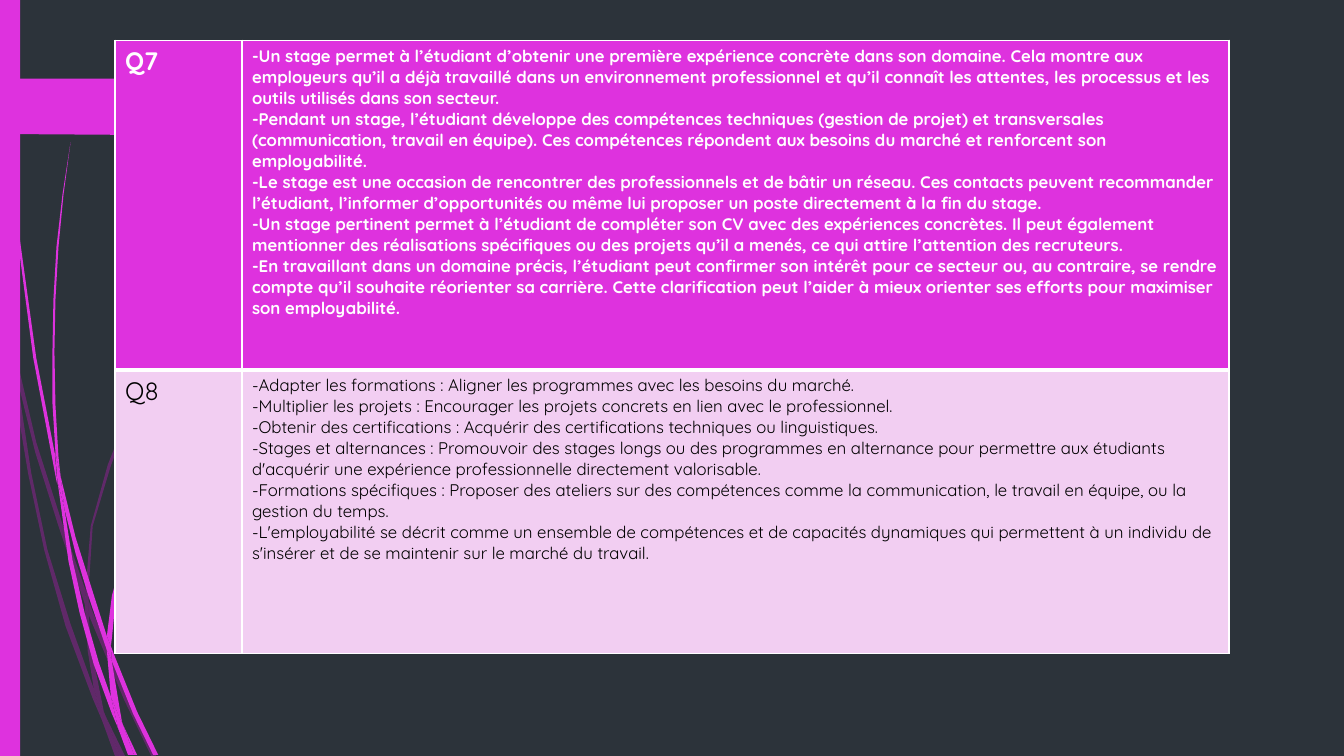
import pptx
import pptx.util
import pptx.dml.color
import pptx.enum.shapes
import pptx.oxml.ns
import lxml.etree

theme = {
    "back": "2C333A", "pink": "DE32DE", "plum": "B01CB0", "pale": "F2CEF2",
    "white": "FFFFFF", "black": "000000", "font": "Quicksand",
    "label": 18, "body": 12, "thin": 1, "thick": 3, "faint": 40, "full": 100,
}
cols, rows = 1333, 750
cell_size = pptx.util.Inches(0.01)


def write(cell, lines, size, color, bold):
    for at, line in enumerate(lines):
        para = cell.text_frame.paragraphs[0] if at == 0 else cell.text_frame.add_paragraph()
        run = para.add_run()
        run.text = line
        run.font.name = theme["font"]
        run.font.size = pptx.util.Pt(theme[size])
        run.font.bold = bold
        run.font.color.rgb = pptx.dml.color.RGBColor.from_string(theme[color])


def trace(shapes, flat, color, alpha):
    points = list(zip(flat[::2], flat[1::2]))
    maker = shapes.build_freeform(*points[0], scale=float(cell_size))
    maker.add_line_segments(points[1:], close=True)
    shape = maker.convert_to_shape()
    shape.shadow.inherit = False
    shape.line.fill.background()
    shape.fill.solid()
    shape.fill.fore_color.rgb = pptx.dml.color.RGBColor.from_string(theme[color])
    if alpha < 100:
        tone = shape.element.xpath("./p:spPr/a:solidFill/a:srgbClr")[0]
        lxml.etree.SubElement(tone, pptx.oxml.ns.qn("a:alpha"), val=str(alpha * 1000))


deck = pptx.Presentation()
deck.slide_width = cols * cell_size
deck.slide_height = rows * cell_size
slide = deck.slides.add_slide(deck.slide_layouts[6])
slide.background.fill.solid()
slide.background.fill.fore_color.rgb = pptx.dml.color.RGBColor.from_string(theme["back"])

dim = [
    [11, 350, 9, 322, 0, 282, 0, 299, 10, 344],
    [58, 522, 84, 599, 85, 586, 62, 520, 36, 439, 14, 345, 17, 376, 35, 449],
    [92, 607, 88, 596, 88, 610, 123, 694, 150, 750, 155, 750, 127, 692],
    [119, 750, 124, 750, 105, 711],
    [93, 683, 70, 619, 47, 545, 31, 469, 17, 376, 11, 350, 18, 410, 28, 470,
     44, 546, 65, 621, 92, 693, 101, 714, 99, 707],
    [84, 599, 87, 646, 93, 683, 96, 692, 105, 711, 103, 706, 91, 646, 88, 610, 88, 608],
    [88, 584, 92, 522, 110, 462, 132, 404, 160, 349, 193, 296, 229, 245, 268, 198,
     290, 175, 312, 154, 312, 153, 289, 175, 268, 197, 228, 244, 191, 294, 158, 348,
     130, 403, 107, 461, 90, 522, 85, 584, 85, 586, 88, 596],
    [101, 714, 114, 750, 119, 750],
    [88, 608, 88, 596, 85, 586, 84, 599],
    [96, 692, 93, 683, 99, 707, 101, 714, 119, 750, 105, 711],
]
bright = [
    [7, 110, 17, 233, 33, 355, 56, 477, 57, 481, 55, 457, 55, 453, 36, 355, 19, 232,
     8, 109, 5, 48, 4, 0, 3, 0, 4, 48],
    [88, 592, 106, 645, 106, 631, 93, 590, 75, 533, 60, 472, 64, 505, 75, 549],
    [113, 649, 110, 641, 111, 656, 132, 708, 152, 749, 157, 749, 136, 706],
    [110, 691, 98, 657, 84, 608, 72, 556, 64, 505, 57, 477, 68, 557, 79, 608,
     93, 659, 111, 708, 117, 722, 116, 717],
    [60, 472, 58, 453, 55, 402, 54, 349, 55, 297, 58, 245, 63, 193, 70, 141,
     62, 193, 56, 245, 53, 297, 52, 349, 52, 400, 55, 449],
    [133, 749, 136, 749, 122, 719],
    [57, 477, 64, 505, 60, 472, 55, 449, 55, 453],
    [111, 633, 115, 592, 125, 552, 140, 513, 158, 476, 180, 440, 205, 406, 231, 374,
     245, 359, 261, 344, 260, 344, 245, 358, 231, 373, 204, 405, 179, 438, 156, 474,
     137, 512, 122, 551, 111, 591, 106, 631, 110, 641],
    [117, 722, 127, 749, 131, 749],
    [106, 645, 110, 691, 116, 706, 122, 719, 121, 716, 111, 656, 109, 651],
    [106, 645, 109, 651, 111, 656, 110, 641, 106, 631],
    [116, 706, 110, 691, 116, 717, 117, 722, 130, 749, 133, 749, 122, 719],
]
for wisps, color, alpha in ((dim, "plum", theme["faint"]), (bright, "pink", theme["full"])):
    group = slide.shapes.add_group_shape()
    for wisp in wisps:
        trace(group.shapes, wisp, color, alpha)

bar = slide.shapes.add_shape(
    pptx.enum.shapes.MSO_SHAPE.RECTANGLE, 0, 0, 20 * cell_size, rows * cell_size)
bar.shadow.inherit = False
bar.line.fill.background()
bar.fill.solid()
bar.fill.fore_color.rgb = pptx.dml.color.RGBColor.from_string(theme["pink"])
tag = [0, 78, 146, 78, 148, 79, 173, 104, 174, 106, 173, 108, 148, 133, 146, 134, 0, 133]
trace(slide.shapes, tag, "pink", theme["full"])

answers = [
    ("Q7", [
        "-Un stage permet à l’étudiant d’obtenir une première expérience concrète dans son domaine. Cela montre aux employeurs qu’il a déjà travaillé dans un environnement professionnel et qu’il connaît les attentes, les processus et les outils utilisés dans son secteur.",
        "-Pendant un stage, l’étudiant développe des compétences techniques (gestion de projet) et transversales (communication, travail en équipe). Ces compétences répondent aux besoins du marché et renforcent son employabilité.",
        "-Le stage est une occasion de rencontrer des professionnels et de bâtir un réseau. Ces contacts peuvent recommander l’étudiant, l’informer d’opportunités ou même lui proposer un poste directement à la fin du stage.",
        "-Un stage pertinent permet à l’étudiant de compléter son CV avec des expériences concrètes. Il peut également mentionner des réalisations spécifiques ou des projets qu’il a menés, ce qui attire l’attention des recruteurs.",
        "-En travaillant dans un domaine précis, l’étudiant peut confirmer son intérêt pour ce secteur ou, au contraire, se rendre compte qu’il souhaite réorienter sa carrière. Cette clarification peut l’aider à mieux orienter ses efforts pour maximiser son employabilité.",
    ], "pink", "white", True, "thick", 327),
    ("Q8", [
        "-Adapter les formations : Aligner les programmes avec les besoins du marché.",
        "-Multiplier les projets : Encourager les projets concrets en lien avec le professionnel.",
        "-Obtenir des certifications : Acquérir des certifications techniques ou linguistiques.",
        "-Stages et alternances : Promouvoir des stages longs ou des programmes en alternance pour permettre aux étudiants d'acquérir une expérience professionnelle directement valorisable.",
        "-Formations spécifiques : Proposer des ateliers sur des compétences comme la communication, le travail en équipe, ou la gestion du temps.",
        "-L'employabilité se décrit comme un ensemble de compétences et de capacités dynamiques qui permettent à un individu de s'insérer et de se maintenir sur le marché du travail.",
    ], "pale", "black", False, "thin", 281),
]
widths = (126, 979)
table = slide.shapes.add_table(
    len(answers), len(widths), 114 * cell_size, 40 * cell_size,
    sum(widths) * cell_size, sum(row[-1] for row in answers) * cell_size).table
for col, width in zip(table.columns, widths):
    col.width = width * cell_size

for down, (label, lines, fill, ink, bold, base, height) in enumerate(answers):
    table.rows[down].height = height * cell_size
    top = answers[down - 1][5] if down else "thin"
    edges = {"L": "thin", "R": "thin", "T": top, "B": base}
    for across, (words, size) in enumerate((([label], "label"), (lines, "body"))):
        cell = table.cell(down, across)
        props = cell._tc.get_or_add_tcPr()
        for side, weight in edges.items():
            edge = lxml.etree.SubElement(
                props, pptx.oxml.ns.qn("a:ln" + side), w=str(pptx.util.Pt(theme[weight])))
            paint = lxml.etree.SubElement(edge, pptx.oxml.ns.qn("a:solidFill"))
            lxml.etree.SubElement(paint, pptx.oxml.ns.qn("a:srgbClr"), val=theme["white"])
        cell.fill.solid()
        cell.fill.fore_color.rgb = pptx.dml.color.RGBColor.from_string(theme[fill])
        write(cell, words, size=size, color=ink, bold=bold)

deck.save("out.pptx")
